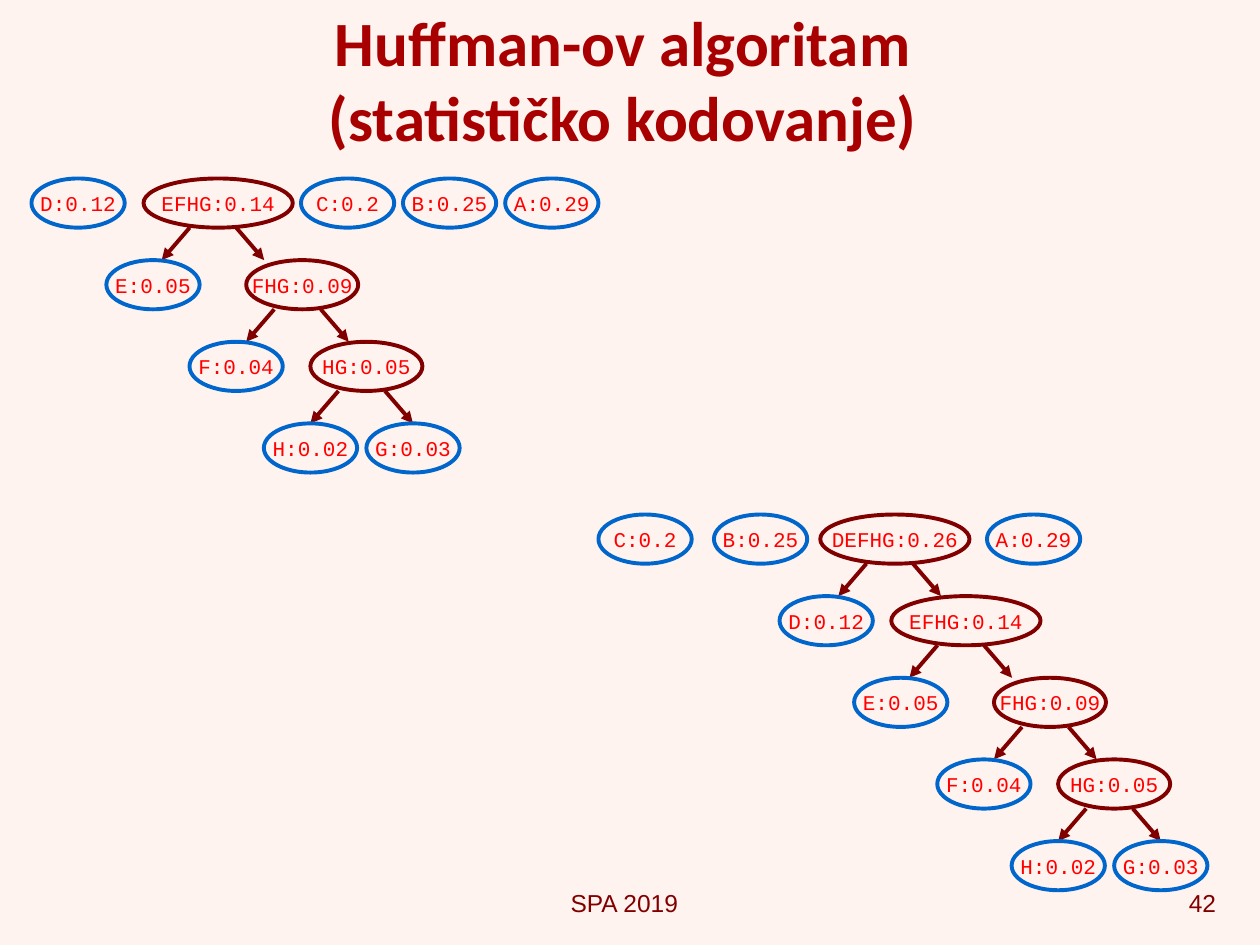
from lxml import etree
from pptx import Presentation
from pptx import util as u
from pptx.dml import color
from pptx.enum import shapes, text
from pptx.oxml import ns

Pt = u.Pt
BLUE, MAROON, RED, TITLE_RED = "0066CC", "800000", "FF0000", "A80000"
ROW_STEP, NODE_HEIGHT = 46.65, 28.1


def rgb(value):
    return color.RGBColor.from_string(value)


def write(shape, lines, size, font, value, align, bold=False):
    """Fill the first paragraph, one run per line."""
    paragraph = shape.text_frame.paragraphs[0]
    paragraph.alignment = align
    for index, line in enumerate(lines):
        if index:
            paragraph.add_line_break()
        run = paragraph.add_run()
        run.text = line
        run.font.size = Pt(size)
        run.font.name = font
        run.font.bold = bold
        run.font.color.rgb = rgb(value)


presentation = Presentation()
presentation.slide_width, presentation.slide_height = Pt(720), Pt(540)
slide = presentation.slides.add_slide(presentation.slide_layouts[6])
slide.background.fill.solid()
slide.background.fill.fore_color.rgb = rgb("FFF3EF")

CENTER, RIGHT = text.PP_ALIGN.CENTER, text.PP_ALIGN.RIGHT
title_lines = ["Huffman-ov algoritam ", "(statističko kodovanje) "]
text_boxes = [
    (18, 6, 684, 78, title_lines, 36, "Calibri", TITLE_RED, CENTER, True),
    (269.3, 504, 175, 24, ["SPA 2019"], 14, "Arial", MAROON, CENTER, False),
    (558, 504, 144, 24, ["42"], 14, "Arial", MAROON, RIGHT, False),
]
for left, top, width, height, *content in text_boxes:
    box = slide.shapes.add_textbox(Pt(left), Pt(top), Pt(width), Pt(height))
    box.text_frame.word_wrap = True
    box.text_frame.vertical_anchor = text.MSO_ANCHOR.MIDDLE
    write(box, *content)

# Node: label, left, row. Subtree positions are relative to its root EFHG.
subtree = [
    ("EFHG:0.14", 0, 0), ("E:0.05", -21.2, 1), ("FHG:0.09", 58.7, 1),
    ("F:0.04", 26.3, 2), ("HG:0.05", 95.4, 2),
    ("H:0.02", 68.8, 3), ("G:0.03", 127.4, 3),
]
# Forest: top, left and row of EFHG, other nodes
forests = [
    (102, 82, 0, [("D:0.12", 18, 0), ("C:0.2", 172, 0),
                  ("B:0.25", 230.3, 0), ("A:0.29", 288.7, 0)]),
    (294, 509.3, 1, [("C:0.2", 342, 0), ("B:0.25", 408, 0), ("DEFHG:0.26", 468.7, 0),
                     ("A:0.29", 564, 0), ("D:0.12", 445.5, 1)]),
]

for forest_top, root_left, root_row, others in forests:
    nodes = others + [(label, root_left + left, root_row + row) for label, left, row in subtree]
    for label, left, row in nodes:
        letters = len(label.split(":")[0])
        is_leaf = letters == 1
        width = 53.3 if is_leaf else 64 if letters < 4 else 85.3
        top = forest_top + row * ROW_STEP
        node = slide.shapes.add_shape(
            shapes.MSO_SHAPE.OVAL, Pt(left), Pt(top), Pt(width), Pt(NODE_HEIGHT))
        node.shadow.inherit = False
        node.fill.background()
        node.line.color.rgb = rgb(BLUE if is_leaf else MAROON)
        node.line.width = Pt(2.25)
        node.text_frame.word_wrap = False
        node.text_frame.vertical_anchor = text.MSO_ANCHOR.MIDDLE
        write(node, [label], 12, "Courier New", RED, CENTER)
        if is_leaf:
            continue

        # Two arrows leave each inner node, spreading down to the next row
        left_start = left + (16 if letters < 4 else 26.4)
        for start, shift in ((left_start, -16), (left_start + 26.6, 16)):
            arrow = slide.shapes.add_connector(
                shapes.MSO_CONNECTOR.STRAIGHT, Pt(start), Pt(top + NODE_HEIGHT),
                Pt(start + shift), Pt(top + ROW_STEP))
            arrow.line.color.rgb = rgb(MAROON)
            arrow.line.width = Pt(2.25)
            etree.SubElement(arrow.line._get_or_add_ln(), ns.qn("a:tailEnd"), type="triangle")
            etree.SubElement(arrow._element.spPr, ns.qn("a:effectLst"))

presentation.save("out.pptx")
